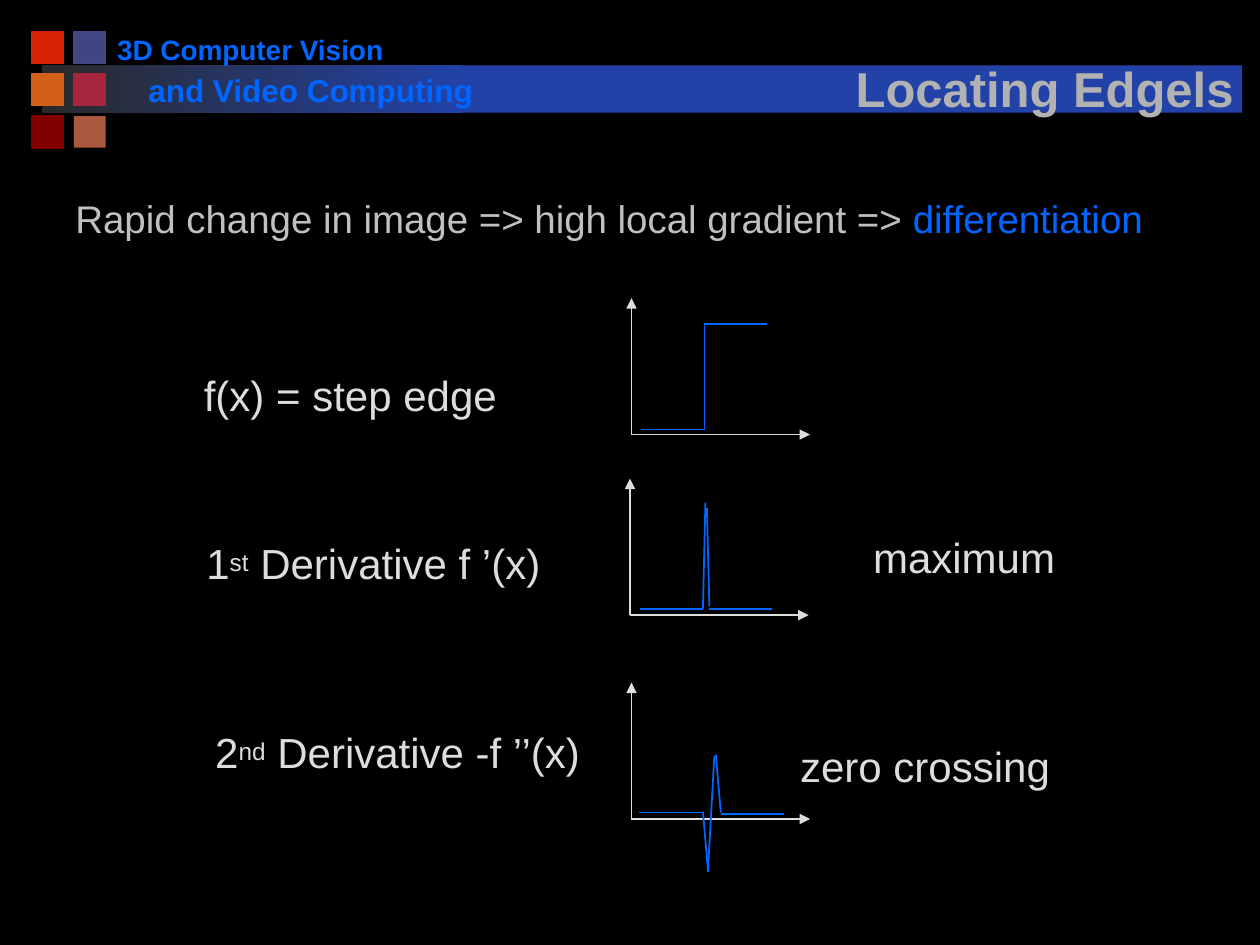
from lxml import etree
from pptx import Presentation
from pptx.dml.color import RGBColor
from pptx.enum.shapes import MSO_CONNECTOR, MSO_SHAPE
from pptx.enum.text import MSO_ANCHOR, MSO_AUTO_SIZE, PP_ALIGN
from pptx.oxml.ns import qn
from pptx.util import Cm, Pt

COLORS = {
    "background": "000000",
    "band_start": "292929",
    "band": "2242A8",
    "course": "0066FF",
    "title": "B2B2B2",
    "body": "C0C0C0",
    "label": "DDDDDD",
    "axis": "DDDDDD",
    "curve": "0066FF",
}
rgb = {part: RGBColor.from_string(code) for part, code in COLORS.items()}

prs = Presentation()
prs.slide_width, prs.slide_height = Cm(25.4), Cm(19.05)
slide = prs.slides.add_slide(prs.slide_layouts[6])
slide.background.fill.solid()
slide.background.fill.fore_color.rgb = rgb["background"]


def add_text(left, top, width, height, runs, size, bold=False, wrap=True):
    """Add a one-paragraph box; runs are (text, colour name, baseline %)."""
    box = slide.shapes.add_textbox(Cm(left), Cm(top), Cm(width), Cm(height))
    frame = box.text_frame
    frame.word_wrap = wrap
    frame.auto_size = MSO_AUTO_SIZE.NONE
    for text, color, baseline in runs:
        run = frame.paragraphs[0].add_run()
        run.text = text
        run.font.name = "Arial"
        run.font.size = Pt(size)
        run.font.bold = bold
        run.font.color.rgb = rgb[color]
        if baseline:
            run.font._element.set("baseline", str(baseline * 1000))
    return frame


def add_line(x1, y1, x2, y2, color, arrow=False):
    line = slide.shapes.add_connector(
        MSO_CONNECTOR.STRAIGHT, Cm(x1), Cm(y1), Cm(x2), Cm(y2))
    line.line.color.rgb = rgb[color]
    line.line.width = Pt(1)
    if arrow:
        etree.SubElement(line.line._get_or_add_ln(), qn("a:tailEnd"), type="triangle")
    etree.SubElement(line._element.spPr, qn("a:effectLst"))


# Header band: a fade followed by a plain bar
fade, bar = [
    slide.shapes.add_shape(MSO_SHAPE.RECTANGLE, Cm(left), Cm(1.32), Cm(width), Cm(0.95))
    for left, width in ((0.85, 8.46), (9.31, 15.73))
]
fade.fill.gradient()
fade.fill.gradient_angle = 0
for stop, color in zip(fade.fill.gradient_stops, ("band_start", "band")):
    stop.color.rgb = rgb[color]
bar.fill.solid()
bar.fill.fore_color.rgb = rgb["band"]
for part in (fade, bar):
    part.line.fill.background()
    part.shadow.inherit = False

# Mosaic of squares, as (fill, outline) by row
mosaic = [
    [("D82204", "D82204"), ("424680", "454A85")],
    [("D2601A", "D2601A"), ("A5253D", "A5253D")],
    [("800000", "800000"), ("AA583E", None)],
]
for row, tiles in enumerate(mosaic):
    for col, (fill, outline) in enumerate(tiles):
        tile = slide.shapes.add_shape(
            MSO_SHAPE.RECTANGLE, Cm(0.64 + 0.85 * col), Cm(0.64 + 0.85 * row),
            Cm(0.64), Cm(0.64))
        tile.shadow.inherit = False
        tile.fill.solid()
        tile.fill.fore_color.rgb = RGBColor.from_string(fill)
        if outline:
            tile.line.color.rgb = RGBColor.from_string(outline)
            tile.line.width = Pt(1)
        else:
            tile.line.fill.background()

# Course name, title and statement
add_text(2.11, 0.53, 5.89, 0.94, [("3D Computer Vision", "course", 0)], 16, True, False)
add_text(2.74, 1.3, 7.19, 1.02, [("and Video Computing", "course", 0)], 18, True)

title = add_text(16.92, 0.79, 8.28, 1.7, [("Locating Edgels", "title", 0)], 28, True)
title.vertical_anchor = MSO_ANCHOR.BOTTOM
title.paragraphs[0].alignment = PP_ALIGN.CENTER
title_props = title.paragraphs[0].runs[0].font._element
effects = etree.Element(qn("a:effectLst"))
shadow = etree.SubElement(effects, qn("a:outerShdw"), dist="38100", dir="2700000")
etree.SubElement(shadow, qn("a:srgbClr"), val=COLORS["background"])
title_props.find(qn("a:solidFill")).addnext(effects)

statement = add_text(1.27, 3.81, 23.06, 1.27, [
    ("Rapid change in image => high local gradient => ", "body", 0),
    ("differentiation", "course", 0),
], 22)
indent = statement.paragraphs[0]._p.get_or_add_pPr()
indent.set("marL", str(Cm(0.95)))
indent.set("indent", str(Cm(-0.95)))

# Graphs: axis origin, then the segments of the curve
graphs = [
    ((12.73, 8.76), [  # step edge
        (12.93, 8.66, 14.2, 8.66),
        (14.2, 6.53, 15.47, 6.53),
        (14.2, 6.53, 14.2, 8.66),
    ]),
    ((12.7, 12.4), [  # first derivative
        (12.9, 12.27, 14.17, 12.27),
        (14.3, 12.27, 15.57, 12.27),
        (14.22, 10.13, 14.17, 12.27),
        (14.25, 10.24, 14.3, 12.22),
    ]),
    ((12.73, 16.51), [  # second derivative
        (12.88, 16.38, 14.15, 16.38),
        (14.53, 16.41, 15.8, 16.41),
        (14.4, 15.24, 14.27, 17.58),
        (14.17, 16.36, 14.27, 17.53),
        (14.43, 15.21, 14.53, 16.38),
    ]),
]
for (x, y), segments in graphs:
    add_line(x, y, x, y - 2.75, "axis", arrow=True)
    add_line(x, y, x + 3.6, y, "axis", arrow=True)
    for segment in segments:
        add_line(*segment, "curve")

# Labels: left, top, width, and (text, baseline) pieces
labels = [
    (3.86, 7.32, 6.43, [("f(x) = step edge", 0)]),
    (3.91, 10.72, 7.32, [("1", 0), ("st", 20), (" Derivative f ’(x)", 0)]),
    (4.09, 14.53, 7.98, [("2", 0), ("nd", 20), (" Derivative -f ’’(x)", 0)]),
    (17.35, 10.59, 4.19, [("maximum", 0)]),
    (15.88, 14.81, 5.56, [("zero crossing", 0)]),
]
for left, top, width, pieces in labels:
    runs = [(text, "label", baseline) for text, baseline in pieces]
    add_text(left, top, width, 1.27, runs, 24, wrap=False)

prs.save("out.pptx")
